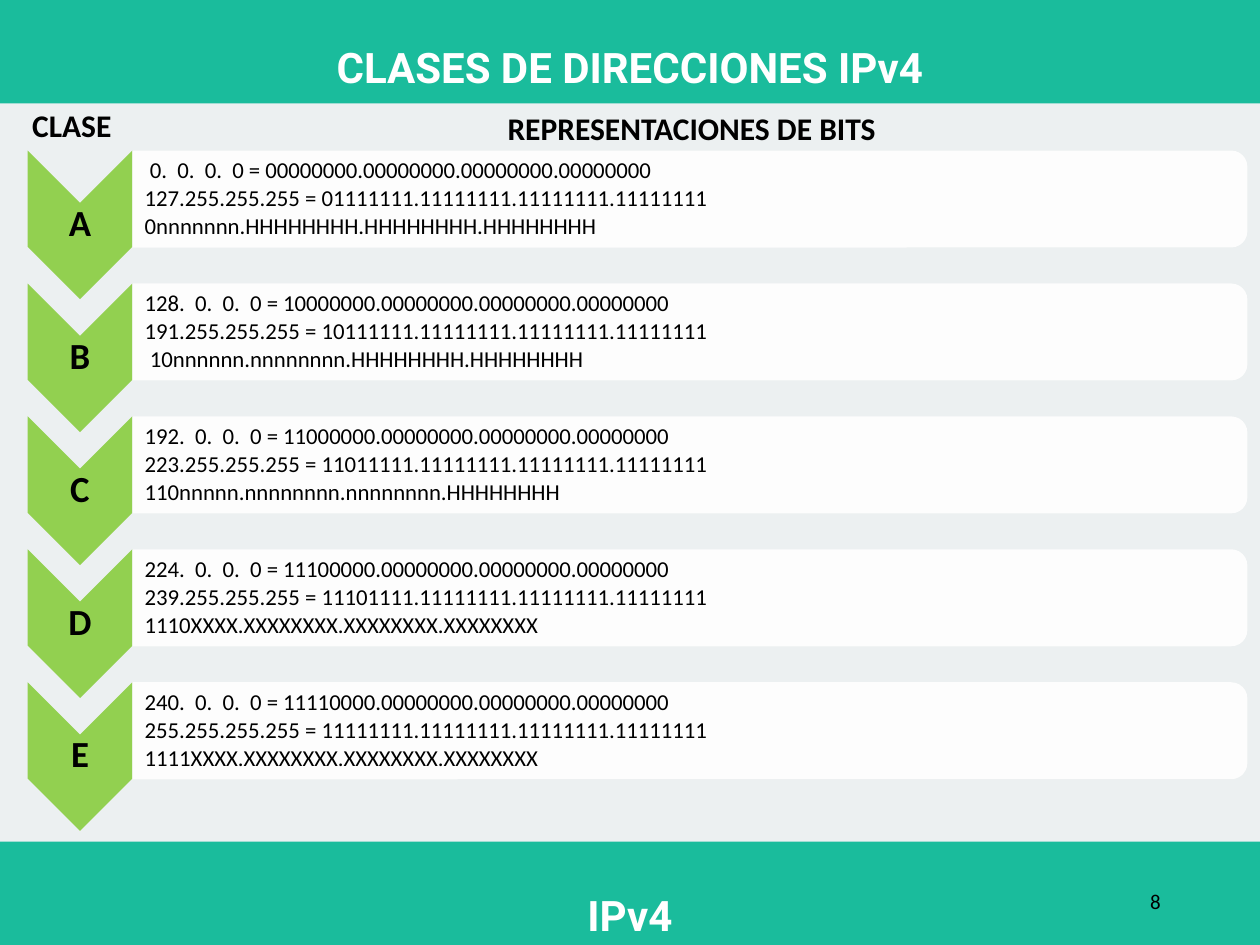
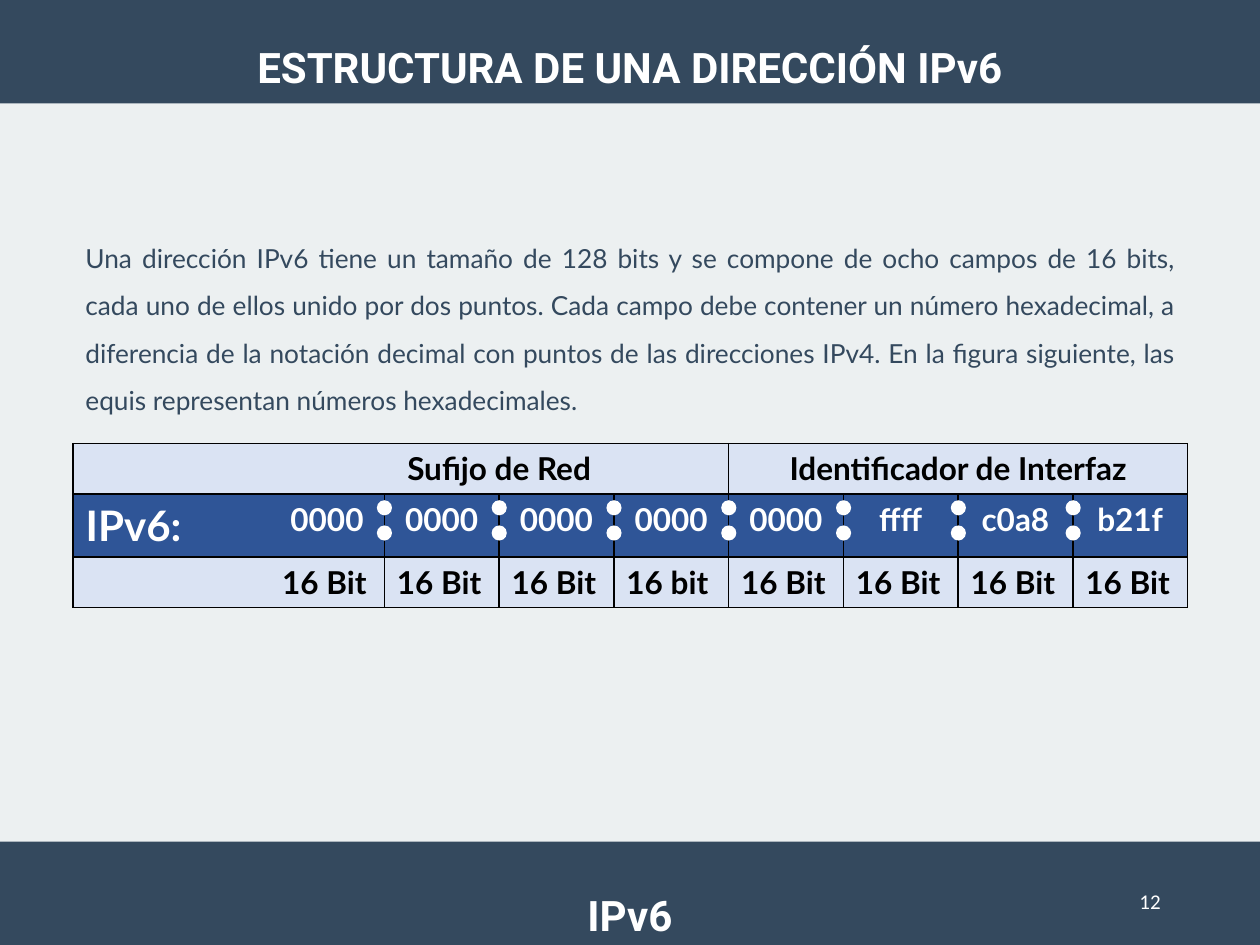
from lxml import etree
from pptx import Presentation
from pptx.dml.color import RGBColor
from pptx.enum.shapes import MSO_SHAPE
from pptx.enum.text import MSO_ANCHOR, PP_ALIGN
from pptx.oxml.ns import qn
from pptx.util import Inches, Pt

LEFT, CENTER, RIGHT, JUSTIFY = PP_ALIGN.LEFT, PP_ALIGN.CENTER, PP_ALIGN.RIGHT, PP_ALIGN.JUSTIFY
TOP, MIDDLE = MSO_ANCHOR.TOP, MSO_ANCHOR.MIDDLE
RECT, CHEVRON, OVAL = MSO_SHAPE.RECTANGLE, MSO_SHAPE.CHEVRON, MSO_SHAPE.OVAL
PANEL = MSO_SHAPE.ROUND_2_SAME_RECTANGLE

BACKGROUND = RGBColor(0xEC, 0xF0, 0xF1)
TEAL = RGBColor(0x1A, 0xBC, 0x9C)
NAVY = RGBColor(0x34, 0x49, 0x5E)
GREEN = RGBColor(0x92, 0xD0, 0x50)
PALE_BLUE = RGBColor(0xDA, 0xE3, 0xF3)
BLUE = RGBColor(0x2F, 0x55, 0x97)
WHITE = RGBColor(0xFF, 0xFF, 0xFF)
BLACK = RGBColor(0, 0, 0)

TITLE = dict(name="Roboto", size=Pt(24), bold=True, color=WHITE)
HEADING = dict(name="Calibri", size=Pt(18), bold=True, color=BLACK)
LETTER = dict(HEADING, size=Pt(21))
BITS = dict(name="Calibri", size=Pt(13), color=BLACK)
PAGE = dict(name="Calibri", size=Pt(12))
BODY = dict(name="Lato", size=Pt(15), color=NAVY)
CELL = dict(name="Lato", size=Pt(18), bold=True, color=BLACK)
FIELD = dict(CELL, color=WHITE)
VERSION = dict(FIELD, size=Pt(24))

SLIDE_W, SLIDE_H, BAND_H = 10, 7.5, 0.82

CLASSES = [
    ("A", [" 0.  0.  0.  0 = 00000000.00000000.00000000.00000000",
           "127.255.255.255 = 01111111.11111111.11111111.11111111",
           "0nnnnnnn.HHHHHHHH.HHHHHHHH.HHHHHHHH"]),
    ("B", ["128.  0.  0.  0 = 10000000.00000000.00000000.00000000",
           "191.255.255.255 = 10111111.11111111.11111111.11111111",
           " 10nnnnnn.nnnnnnnn.HHHHHHHH.HHHHHHHH"]),
    ("C", ["192.  0.  0.  0 = 11000000.00000000.00000000.00000000",
           "223.255.255.255 = 11011111.11111111.11111111.11111111",
           "110nnnnn.nnnnnnnn.nnnnnnnn.HHHHHHHH"]),
    ("D", ["224.  0.  0.  0 = 11100000.00000000.00000000.00000000",
           "239.255.255.255 = 11101111.11111111.11111111.11111111",
           "1110XXXX.XXXXXXXX.XXXXXXXX.XXXXXXXX"]),
    ("E", ["240.  0.  0.  0 = 11110000.00000000.00000000.00000000",
           "255.255.255.255 = 11111111.11111111.11111111.11111111",
           "1111XXXX.XXXXXXXX.XXXXXXXX.XXXXXXXX"]),
]

IPV6_TEXT = (
    "Una dirección IPv6 tiene un tamaño de 128 bits y se compone de ocho campos de 16 bits, "
    "cada uno de ellos unido por dos puntos. Cada campo debe contener un número hexadecimal, "
    "a diferencia de la notación decimal con puntos de las direcciones IPv4. En la figura "
    "siguiente, las equis representan números hexadecimales."
)
# Each row: texts, height, fill, format, alignment
IPV6_ROWS = [
    (["", "Sufijo de Red", "", "", "", "Identificador de Interfaz", "", "", ""],
     0.4, PALE_BLUE, CELL, CENTER),
    (["IPv6:", "0000", "0000", "0000", "0000", "0000", "ffff", "c0a8", "b21f"],
     0.5, BLUE, FIELD, CENTER),
    (["", "16 Bit", "16 Bit", "16 Bit", "16 bit", "16 Bit", "16 Bit", "16 Bit", "16 Bit"],
     0.4, PALE_BLUE, CELL, LEFT),
]


def inches(*values):
    return [Inches(v) for v in values]


def write(tf, lines, fmt, align=LEFT, **spacing):
    """Fill a text frame with one paragraph per line."""
    for i, line in enumerate(lines):
        p = tf.paragraphs[0] if i == 0 else tf.add_paragraph()
        p.alignment = align
        for key, value in spacing.items():
            setattr(p, key, value)
        font = p.font
        if line:
            r = p.add_run()
            r.text = line
            font = r.font
        for key, value in fmt.items():
            if key == "color":
                font.color.rgb = value
            else:
                setattr(font, key, value)


def add_text(s, box, lines, fmt, align=LEFT, anchor=TOP, insets=None, **spacing):
    tf = s.shapes.add_textbox(*inches(*box)).text_frame
    tf.word_wrap = True
    tf.vertical_anchor = anchor
    if insets:
        tf.margin_left, tf.margin_top, tf.margin_right, tf.margin_bottom = inches(*insets)
    write(tf, lines, fmt, align, **spacing)


def add_shape(s, kind, box, color, rotation=0):
    sp = s.shapes.add_shape(kind, *inches(*box))
    sp.shadow.inherit = False
    sp.fill.solid()
    sp.fill.fore_color.rgb = color
    sp.line.fill.background()
    sp.rotation = rotation
    return sp


def add_turned(s, kind, box, color):
    """Add a shape turned by 90 degrees that covers the given box."""
    x, y, w, h = box
    return add_shape(s, kind, (x + (w - h) / 2, y + (h - w) / 2, h, w), color, 90)


def set_alpha(sp, percent):
    color = sp.fill._xPr.find(qn("a:solidFill"))[0]
    etree.SubElement(color, qn("a:alpha"), val=str(percent * 1000))


def add_framed_slide(prs, title, footer, number, band, number_color):
    s = prs.slides.add_slide(prs.slide_layouts[6])
    s.background.fill.solid()
    s.background.fill.fore_color.rgb = BACKGROUND
    for text, band_y, text_y in ((title, 0, 0.08), (footer, SLIDE_H - BAND_H, 6.81)):
        add_shape(s, RECT, (0, band_y, SLIDE_W, BAND_H), band)
        add_text(s, (0, text_y, SLIDE_W, 0.66), [text], TITLE, CENTER, line_spacing=1.5)
    add_text(s, (7.06, 6.95, 2.25, 0.4), [number], dict(PAGE, color=number_color), RIGHT, MIDDLE)
    return s


def set_borders(cell, hidden):
    """Draw thin black cell edges, except the hidden one."""
    tcPr = cell._tc.get_or_add_tcPr()
    for side in "LRTB":
        ln = etree.SubElement(tcPr, qn("a:ln" + side), w=str(Pt(1)))
        if side == hidden:
            etree.SubElement(ln, qn("a:noFill"))
        else:
            fill = etree.SubElement(ln, qn("a:solidFill"))
            etree.SubElement(fill, qn("a:srgbClr"), val=str(BLACK))


def build_classes(prs):
    s = add_framed_slide(prs, "CLASES DE DIRECCIONES IPv4", "IPv4", "8", TEAL, BLACK)
    add_text(s, (0.07, 0.79, 1, 0.4), ["CLASE"], HEADING, CENTER)
    add_text(s, (1.05, 0.82, 8.88, 0.4), ["REPRESENTACIONES DE BITS"], HEADING, CENTER)
    x, split, chevron_w, panel_w, first_y, pitch = 0.22, 1.05, 0.83, 8.85, 1.195, 1.055
    for i, (letter, bits) in enumerate(CLASSES):
        y = first_y + i * pitch
        add_turned(s, CHEVRON, (x, y, chevron_w, 1.18), GREEN)
        add_text(s, (x, y + 0.41, chevron_w, 0.35), [letter], LETTER, CENTER, MIDDLE,
                 [0.01] * 4, line_spacing=0.9)
        set_alpha(add_turned(s, PANEL, (split, y, panel_w, 0.77), WHITE), 90)
        add_text(s, (split, y + 0.04, 8.82, 0.69), bits, BITS, LEFT, MIDDLE,
                 (0.1, 0.01, 0.01, 0.01), line_spacing=0.9, space_after=Pt(2))


def build_ipv6(prs):
    s = add_framed_slide(prs, "ESTRUCTURA DE UNA DIRECCIÓN IPv6", "IPv6", "12", NAVY, WHITE)
    x, y, label_w, field_w, fields = 0.58, 3.52, 1.56, 0.911, 8
    width = label_w + fields * field_w
    add_text(s, (x, 1.75, width, 1.56), [IPV6_TEXT], BODY, JUSTIFY, line_spacing=1.5)

    height = sum(row[1] for row in IPV6_ROWS)
    table = s.shapes.add_table(len(IPV6_ROWS), fields + 1, *inches(x, y, width, height)).table
    for c, col in enumerate(table.columns):
        col.width = Inches(field_w if c else label_w)
    for r, (texts, row_h, fill, fmt, align) in enumerate(IPV6_ROWS):
        table.rows[r].height = Inches(row_h)
        for c, text in enumerate(texts):
            cell = table.cell(r, c)
            set_borders(cell, {0: "R", 1: "L"}.get(c))
            cell.fill.solid()
            cell.fill.fore_color.rgb = fill
            is_version = text == "IPv6:"
            write(cell.text_frame, [text], VERSION if is_version else fmt,
                  LEFT if is_version else align)
    for first in (1, 5):
        table.cell(0, first).merge(table.cell(0, first + 3))

    dot = 0.12
    for i in range(1, fields):
        dot_x = x + label_w + i * field_w - dot / 2
        for dot_y in (3.97, 4.17):
            add_shape(s, OVAL, (dot_x, dot_y, dot, dot), WHITE)


def main():
    prs = Presentation()
    prs.slide_width, prs.slide_height = inches(SLIDE_W, SLIDE_H)
    build_classes(prs)
    build_ipv6(prs)
    prs.save("out.pptx")


if __name__ == "__main__":
    main()
